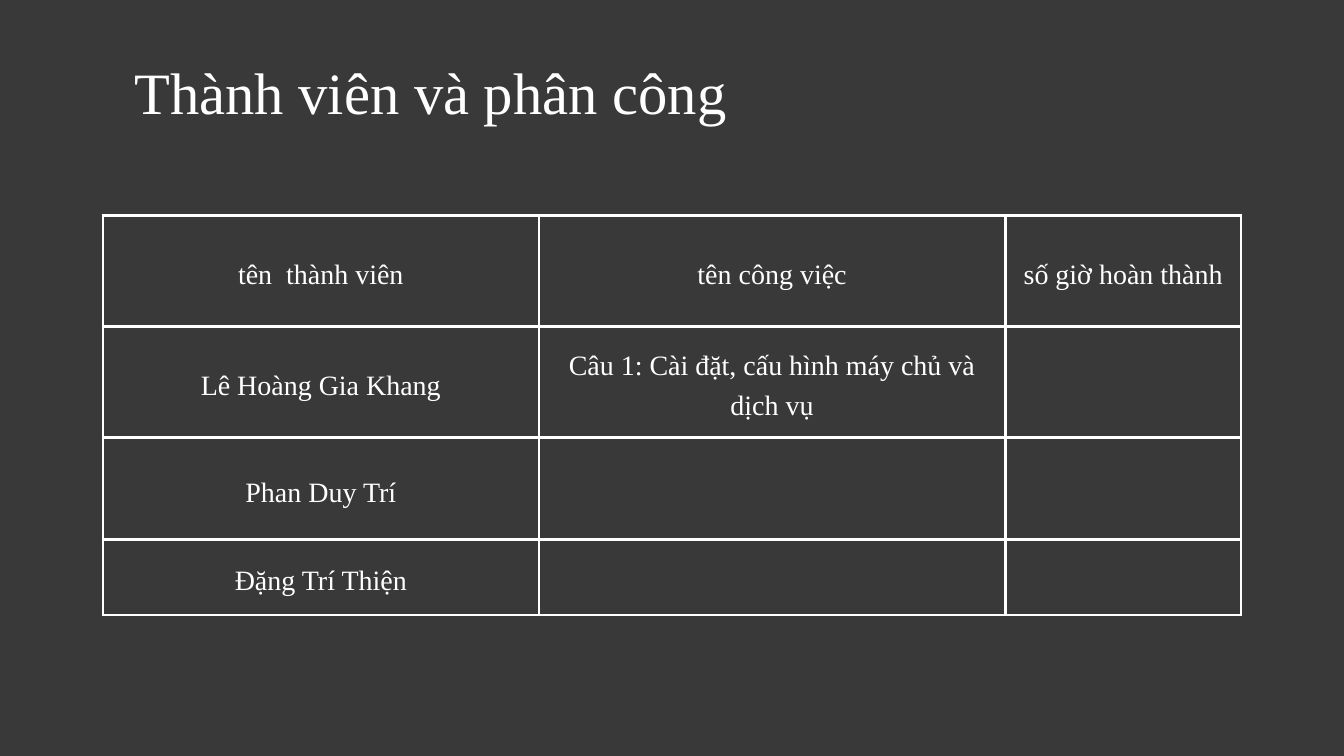
from lxml import etree
from pptx import Presentation
from pptx.dml.color import RGBColor
from pptx.enum.text import MSO_ANCHOR, PP_ALIGN
from pptx.oxml.ns import qn
from pptx.util import Inches, Pt

CENTER = PP_ALIGN.CENTER
MIDDLE = MSO_ANCHOR.MIDDLE

TITLE = "Thành viên và phân công"
ROWS = [
    ("tên  thành viên", "tên công việc", "số giờ hoàn thành"),
    ("Lê Hoàng Gia Khang", "Câu 1: Cài đặt, cấu hình máy chủ và dịch vụ", ""),
    ("Phan Duy Trí", "", ""),
    ("Đặng Trí Thiện", "", ""),
]
WIDTHS = [6.49, 6.94, 3.51]
HEIGHTS = [1.65, 1.65, 1.52, 1.12]
WIDE, HIGH = 20, 11.25
TOP, PAD = 3.21, 0.21
FONT, WHITE, DARK = "Times New Roman", "FFFFFF", "393939"


def color(code):
    return RGBColor.from_string(code)


def write(frame, text, size, pitch):
    frame.text = text
    line = frame.paragraphs[0]
    line.alignment = CENTER
    line.line_spacing = Pt(pitch)
    line.font.size = Pt(size)
    for run in line.runs:
        run.font.name = FONT
        run.font.size = Pt(size)
        run.font.color.rgb = color(WHITE)


def border(cell):
    props = cell._tc.get_or_add_tcPr()
    for spot, side in enumerate(("lnL", "lnR", "lnT", "lnB")):
        edge = etree.Element(qn("a:" + side), w=str(Pt(3)))
        fill = etree.SubElement(edge, qn("a:solidFill"))
        etree.SubElement(fill, qn("a:srgbClr"), val=WHITE)
        props.insert(spot, edge)


def add_title(slide):
    box = slide.shapes.add_textbox(0, Inches(0.92), Inches(12.81), Inches(0.99))
    frame = box.text_frame
    frame.word_wrap = True
    frame.margin_left = frame.margin_right = 0
    frame.margin_top = frame.margin_bottom = 0
    write(frame, TITLE, 62.8, 69)


def add_grid(slide):
    wide, high = sum(WIDTHS), sum(HEIGHTS)
    table = slide.shapes.add_table(
        len(ROWS), len(WIDTHS), Inches((WIDE - wide) / 2), Inches(TOP),
        Inches(wide), Inches(high)).table
    for col, width in zip(table.columns, WIDTHS):
        col.width = Inches(width)
    for row, height, texts in zip(table.rows, HEIGHTS, ROWS):
        row.height = Inches(height)
        for cell, text in zip(row.cells, texts):
            cell.vertical_anchor = MIDDLE
            cell.margin_left = cell.margin_right = Inches(PAD)
            cell.margin_top = cell.margin_bottom = Inches(PAD)
            cell.fill.background()
            border(cell)
            write(cell.text_frame, text, 30, 42)


def main():
    """Build the slide of team members and their tasks."""
    deck = Presentation()
    deck.slide_width, deck.slide_height = Inches(WIDE), Inches(HIGH)
    slide = deck.slides.add_slide(deck.slide_layouts[6])
    back = slide.background.fill
    back.solid()
    back.fore_color.rgb = color(DARK)
    add_grid(slide)
    add_title(slide)
    deck.save("out.pptx")


if __name__ == "__main__":
    main()
